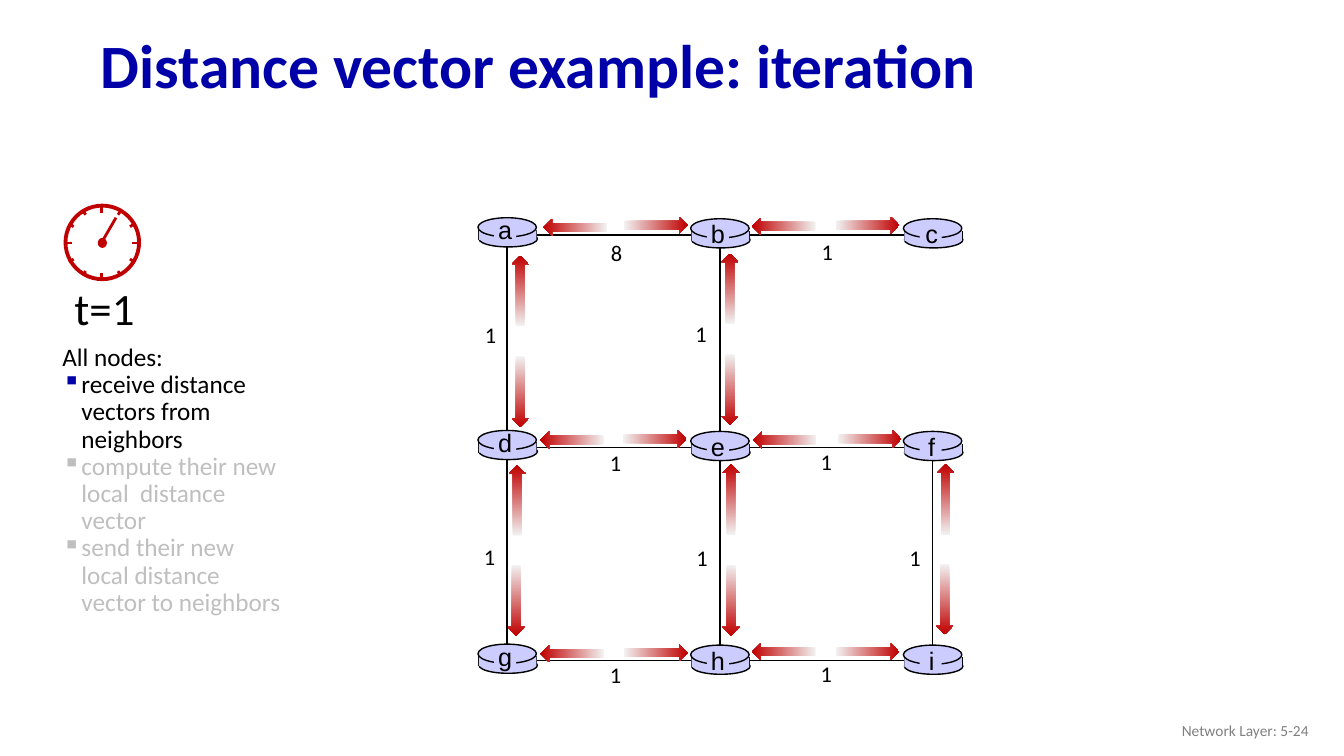
import math

import lxml.etree
import pptx
import pptx.dml.color
import pptx.enum.shapes
import pptx.enum.text
import pptx.oxml.ns
import pptx.util

PX = 9144  # 100 px to the inch
SHAPE = pptx.enum.shapes.MSO_SHAPE
ALIGN = pptx.enum.text.PP_ALIGN
ANCHOR = pptx.enum.text.MSO_ANCHOR
RGB = pptx.dml.color.RGBColor.from_string
qn = pptx.oxml.ns.qn

THEME = {
    "navy": "0000A8", "black": "000000", "grey": "808080", "faded": "BFBFBF",
    "red": "C00000", "pale": "F2F2F2", "lilac": "CCCCFF", "white": "FFFFFF",
    "title": {"size": pptx.util.Pt(44), "name": "Calibri", "bold": True},
    "footer": {"size": pptx.util.Pt(11), "name": "Calibri"},
    "steps": {"size": pptx.util.Pt(18), "name": "Calibri"},
    "time": {"size": pptx.util.Pt(32), "name": "Calibri"},
    "cost": {"size": pptx.util.Pt(16), "name": "Calibri"},
    "router": {"size": pptx.util.Pt(18), "name": "Arial"},
}


def draw(parent, kind, box, fill=None, line=None, weight=1):
    """Draw a preset shape in a box, or a straight line between two ends."""
    lengths = [round(length) * PX for length in box]
    if kind == "line":
        part = parent.add_connector(pptx.enum.shapes.MSO_CONNECTOR.STRAIGHT, *lengths)
    else:
        part = parent.add_shape(kind, *lengths)
        part.shadow.inherit = False
        if fill:
            part.fill.solid()
            part.fill.fore_color.rgb = RGB(THEME[fill])
        else:
            part.fill.background()
    if line:
        part.line.color.rgb = RGB(THEME[line])
        part.line.width = pptx.util.Pt(weight)
    else:
        part.line.fill.background()
    if kind == "line":
        lxml.etree.SubElement(part._element.spPr, qn("a:effectLst"))
    return part


def write(parent, box, lines, style, align=ALIGN.LEFT, anchor=ANCHOR.TOP, spacing=1.0, wrap=True):
    """Write (text, colour, bullet colour) lines in a text box."""
    frame = parent.add_textbox(*[length * PX for length in box]).text_frame
    frame.word_wrap = wrap
    frame.vertical_anchor = anchor
    for index, (words, colour, bullet) in enumerate(lines):
        paragraph = frame.paragraphs[0] if index == 0 else frame.add_paragraph()
        paragraph.alignment = align
        paragraph.line_spacing = spacing
        run = paragraph.add_run()
        run.text = words
        for name, value in THEME[style].items():
            setattr(run.font, name, value)
        run.font.color.rgb = RGB(THEME[colour])
        if bullet:
            properties = paragraph._p.get_or_add_pPr()
            properties.set("marL", str(19 * PX))
            properties.set("indent", str(-19 * PX))
            tint = lxml.etree.SubElement(properties, qn("a:buClr"))
            lxml.etree.SubElement(tint, qn("a:srgbClr"), val=THEME[bullet])
            lxml.etree.SubElement(properties, qn("a:buChar"), char="▪")


deck = pptx.Presentation()
deck.slide_width, deck.slide_height = 1333 * PX, 750 * PX
slide = deck.slides.add_slide(deck.slide_layouts[6])
canvas = slide.shapes

# Title, footer and steps
write(canvas, (90, 19, 1150, 98), [("Distance vector example: iteration", "navy", None)],
      "title", anchor=ANCHOR.MIDDLE, spacing=0.9)
write(canvas, (1008, 705, 300, 40), [("Network Layer: 5-24", "grey", None)],
      "footer", align=ALIGN.RIGHT, anchor=ANCHOR.MIDDLE)
write(canvas, (52, 337, 240, 283), [
    ("All nodes:", "black", None),
    ("receive distance vectors from neighbors", "black", "navy"),
    ("compute their new local  distance vector", "faded", "faded"),
    ("send their new local distance vector to neighbors", "faded", "faded"),
], "steps", spacing=0.9)

# Clock
clock = canvas.add_group_shape().shapes
write(clock, (64, 274, 81, 64), [("t=1", "black", None)], "time", wrap=False)
draw(clock, SHAPE.OVAL, (65, 204, 73, 73), line="red", weight=2.75)
CLOCK_X, CLOCK_Y, RIM = 101, 241, 37
for hour in range(12):
    across, down = math.cos(hour * math.pi / 6), math.sin(hour * math.pi / 6)
    inner = 30 if hour % 3 == 0 else 32
    draw(clock, "line", (CLOCK_X + RIM * across, CLOCK_Y + RIM * down,
                         CLOCK_X + inner * across, CLOCK_Y + inner * down), line="red", weight=2)
draw(clock, SHAPE.OVAL, (97, 236, 9, 10), fill="red")
draw(clock, "line", (115, 216, 100, 242), line="red", weight=2)

# Lattice of links, with no link between c and f
lattice = draw(canvas, SHAPE.RECTANGLE, (503, 233, 422, 422), line="black")
for ends, begin_side, end_side in [((714, 655, 714, 233), 2, 0), ((503, 444, 925, 444), 1, 3)]:
    middle_link = draw(canvas, "line", ends, line="black")
    middle_link.begin_connect(lattice, begin_side)
    middle_link.end_connect(lattice, end_side)
draw(canvas, SHAPE.RECTANGLE, (916, 241, 14, 203), fill="white")

# Routers
for row_top, names in [(639, "ghi"), (427, "def"), (216, "abc")]:
    row = canvas.add_group_shape().shapes
    for column, name in enumerate(names):
        x = 474 + 211 * column
        y = row_top + (column > 0)
        draw(row, SHAPE.OVAL, (x + 1, y + 13, 58, 16), "lilac", "black")
        for side in (x + 1, x + 58):
            draw(row, "line", (side, y + 12, side, y + 22), line="black")
        draw(row, SHAPE.RECTANGLE, (x + 1, y + 12, 57, 10), "lilac")
        draw(row, SHAPE.OVAL, (x, y, 58, 19), "lilac", "black")
        draw(row, SHAPE.RECTANGLE, (x + 16, y + 5, 22, 20), "lilac")
        label_top = y - (8 if column == 0 else 5)
        write(row, (x + 10 + column // 2, label_top, 34, 40), [(name, "black", None)],
              "router", align=ALIGN.CENTER, wrap=False)

# Links: cost, its place, then the arrow to the left or upper router and the one back
ACROSS, DOWN = (63, 180, 0), (70, 270, 90)  # arrow length and the two turns
links = [
    ("8", (596, 232), ACROSS, (539, 217), (619, 215)),  # a-b
    ("1", (805, 231), ACROSS, (746, 216), (829, 215)),  # b-c
    ("1", (595, 441), ACROSS, (536, 428), (618, 427)),  # d-e
    ("1", (804, 440), ACROSS, (747, 428), (831, 427)),  # e-f
    ("1", (595, 651), ACROSS, (536, 640), (619, 639)),  # g-h
    ("1", (804, 650), ACROSS, (746, 638), (829, 638)),  # h-i
    ("1", (471, 314), DOWN, (481, 280), (481, 380)),  # a-d
    ("1", (680, 313), DOWN, (689, 278), (689, 378)),  # b-e
    ("1", (470, 534), DOWN, (478, 488), (477, 587)),  # d-g
    ("1", (681, 535), DOWN, (690, 487), (690, 587)),  # e-h
    ("1", (892, 535), DOWN, (903, 487), (902, 586)),  # f-i
]
for cost, cost_place, (length, *turns), *places in links:
    write(canvas, (*cost_place, 33, 37), [(cost, "black", None)], "cost")
    for place, turn in zip(places, turns):
        message = draw(canvas, SHAPE.RIGHT_ARROW, (*place, length, 17))
        message.rotation = turn
        message.fill.gradient()
        message.fill.gradient_angle = 0
        for stop, position, colour in zip(message.fill.gradient_stops, (0, 1), ("pale", "red")):
            stop.position = position
            stop.color.rgb = RGB(THEME[colour])

deck.save("out.pptx")
